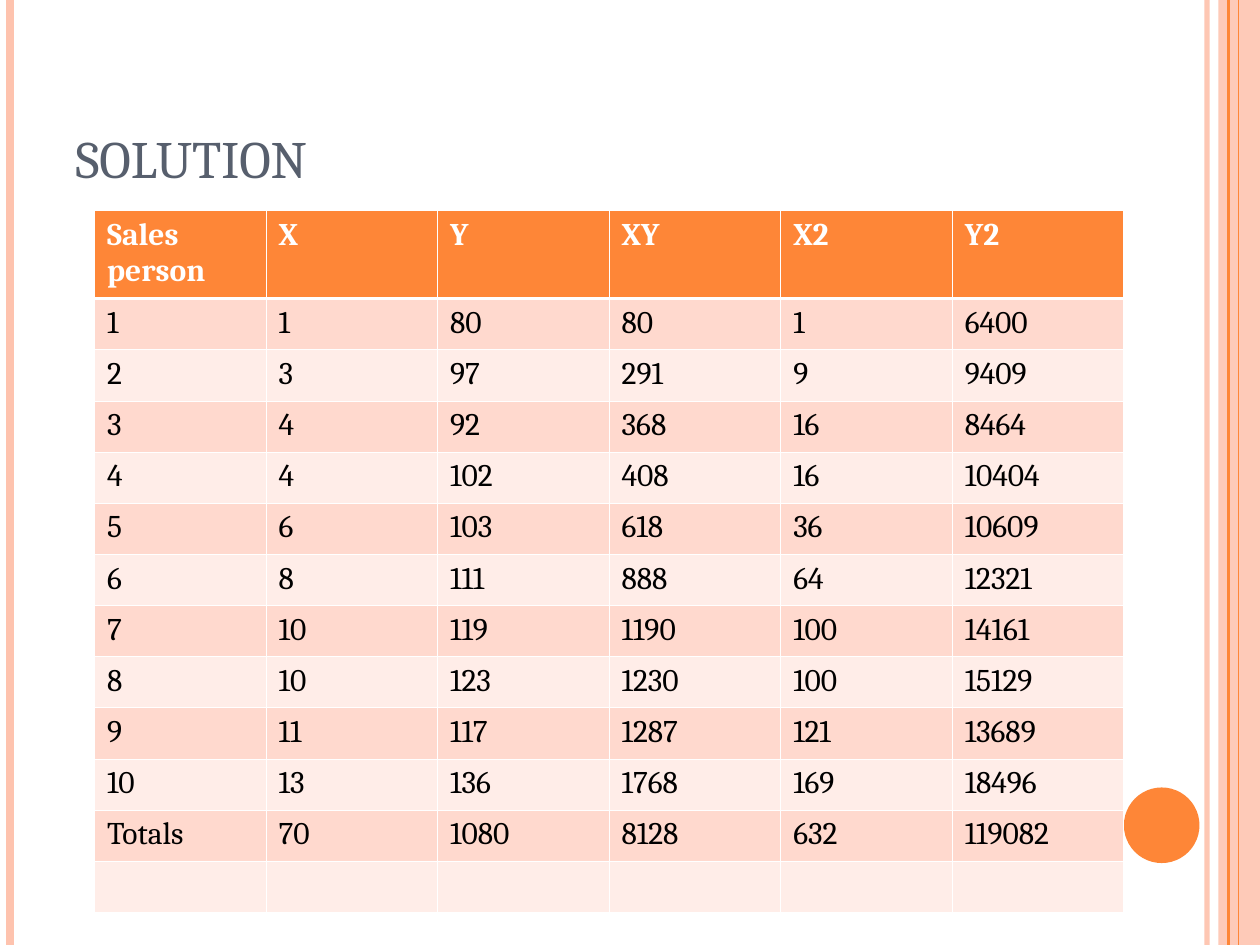
from lxml.etree import SubElement
from pptx import Presentation
from pptx.dml.color import RGBColor
from pptx.enum.shapes import MSO_CONNECTOR, MSO_SHAPE
from pptx.enum.text import MSO_ANCHOR, MSO_AUTO_SIZE, PP_ALIGN
from pptx.oxml import parse_xml
from pptx.oxml.ns import nsdecls, qn
from pptx.util import Inches, Pt

COLORS = {
    "orange": "FE8637", "peach": "FEC3AE", "slate": "575F6D",
    "band_dark": "FFD9CE", "band_light": "FFEDE8",
    "white": "FFFFFF", "black": "000000",
}
FONT = "Cambria"
WIDTH, HEIGHT = 10, 7.5
TABLE_LEFT, TABLE_TOP, TABLE_WIDTH = 0.75, 1.67, 8.17
HEADER_HEIGHT, ROW_HEIGHT = 0.7, 0.406
THIN, THICK = 0.45, 1.47

HEADERS = ["Sales\nperson", "X", "Y", "XY", "X2", "Y2"]
X_VALUES = [1, 3, 4, 4, 6, 8, 10, 10, 11, 13]
Y_VALUES = [80, 97, 92, 102, 103, 111, 119, 123, 117, 136]


def color(name):
    return RGBColor.from_string(COLORS[name])


def set_alpha(element, percent):
    tint = next(element.iter(qn("a:srgbClr")))
    SubElement(tint, qn("a:alpha")).set("val", str(percent * 1000))


def write_text(frame, text, size=18, ink="black", bold=False):
    for index, line in enumerate(text.split("\n")):
        para = frame.paragraphs[0] if index == 0 else frame.add_paragraph()
        para.alignment = PP_ALIGN.LEFT
        span = para.add_run()
        span.text = line
        span.font.name, span.font.size, span.font.bold = FONT, Pt(size), bold
        span.font.color.rgb = color(ink)


def add_vertical_line(page, x, ink, weight, opacity=100):
    line = page.shapes.add_connector(
        MSO_CONNECTOR.STRAIGHT, Inches(x), 0, Inches(x), Inches(HEIGHT))
    line.line.color.rgb = color(ink)
    line.line.width = Pt(weight)
    if opacity < 100:
        set_alpha(line.line._ln, opacity)
    SubElement(line._element.spPr, qn("a:effectLst"))


def add_plain_shape(page, kind, box, ink, opacity=100):
    shape = page.shapes.add_shape(kind, *map(Inches, box))
    shape.shadow.inherit = False
    shape.fill.solid()
    shape.fill.fore_color.rgb = color(ink)
    shape.line.fill.background()
    if opacity < 100:
        set_alpha(shape._element.spPr, opacity)


def add_title(page, text):
    title = page.shapes.title
    title.left, title.top = Inches(0.5), Inches(0.3)
    title.width, title.height = Inches(8.17), Inches(1.25)
    frame = title.text_frame
    frame.vertical_anchor = MSO_ANCHOR.BOTTOM
    frame.auto_size = MSO_AUTO_SIZE.NONE
    frame.word_wrap = True
    write_text(frame, text, size=30, ink="slate")


def set_borders(cell, top, bottom):
    weights = {"lnL": THIN, "lnR": THIN, "lnT": top, "lnB": bottom}
    for index, (side, weight) in enumerate(weights.items()):
        cell._tc.get_or_add_tcPr().insert(index, parse_xml(
            f'<a:{side} {nsdecls("a")} w="{Pt(weight)}"><a:solidFill>'
            f'<a:srgbClr val="{COLORS["white"]}"/></a:solidFill></a:{side}>'))


def table_rows():
    """Return the header, the products and squares, the totals and a blank row."""
    products = [(x, y, x * y, x * x, y * y) for x, y in zip(X_VALUES, Y_VALUES)]
    body = [(number, *values) for number, values in enumerate(products, 1)]
    totals = ("Totals", *map(sum, zip(*products)))
    return [HEADERS, *body, totals, [""] * len(HEADERS)]


def add_sales_table(page):
    rows = table_rows()
    height = HEADER_HEIGHT + ROW_HEIGHT * (len(rows) - 1)
    table = page.shapes.add_table(
        len(rows), len(HEADERS), Inches(TABLE_LEFT), Inches(TABLE_TOP),
        Inches(TABLE_WIDTH), Inches(height)).table
    for row, values in enumerate(rows):
        is_header = row == 0
        table.rows[row].height = Inches(HEADER_HEIGHT if is_header else ROW_HEIGHT)
        band = "orange" if is_header else "band_dark" if row % 2 else "band_light"
        for column, value in enumerate(values):
            cell = table.cell(row, column)
            set_borders(cell, top=THICK if row == 1 else THIN,
                        bottom=THICK if is_header else THIN)
            cell.fill.solid()
            cell.fill.fore_color.rgb = color(band)
            if value != "":
                write_text(cell.text_frame, str(value), bold=is_header,
                           ink="white" if is_header else "black")


def add_side_decoration(page):
    add_vertical_line(page, 9.58, "peach", 3, opacity=93)
    add_vertical_line(page, 0.08, "peach", 4.5)
    add_vertical_line(page, 9.75, "orange", 0.75)
    add_plain_shape(page, MSO_SHAPE.RECTANGLE, (9.67, 0, 0.33, HEIGHT),
                    "peach", opacity=87)
    add_vertical_line(page, 9.75, "orange", 1.5)
    add_vertical_line(page, 9.83, "orange", 0.75)
    add_plain_shape(page, MSO_SHAPE.OVAL, (8.92, 6.25, 0.6, 0.6), "orange")


def main():
    deck = Presentation()
    deck.slide_width, deck.slide_height = Inches(WIDTH), Inches(HEIGHT)
    page = deck.slides.add_slide(deck.slide_layouts[5])  # Title Only
    add_side_decoration(page)
    add_title(page, "SOLUTION")
    add_sales_table(page)
    deck.save("out.pptx")


if __name__ == "__main__":
    main()
